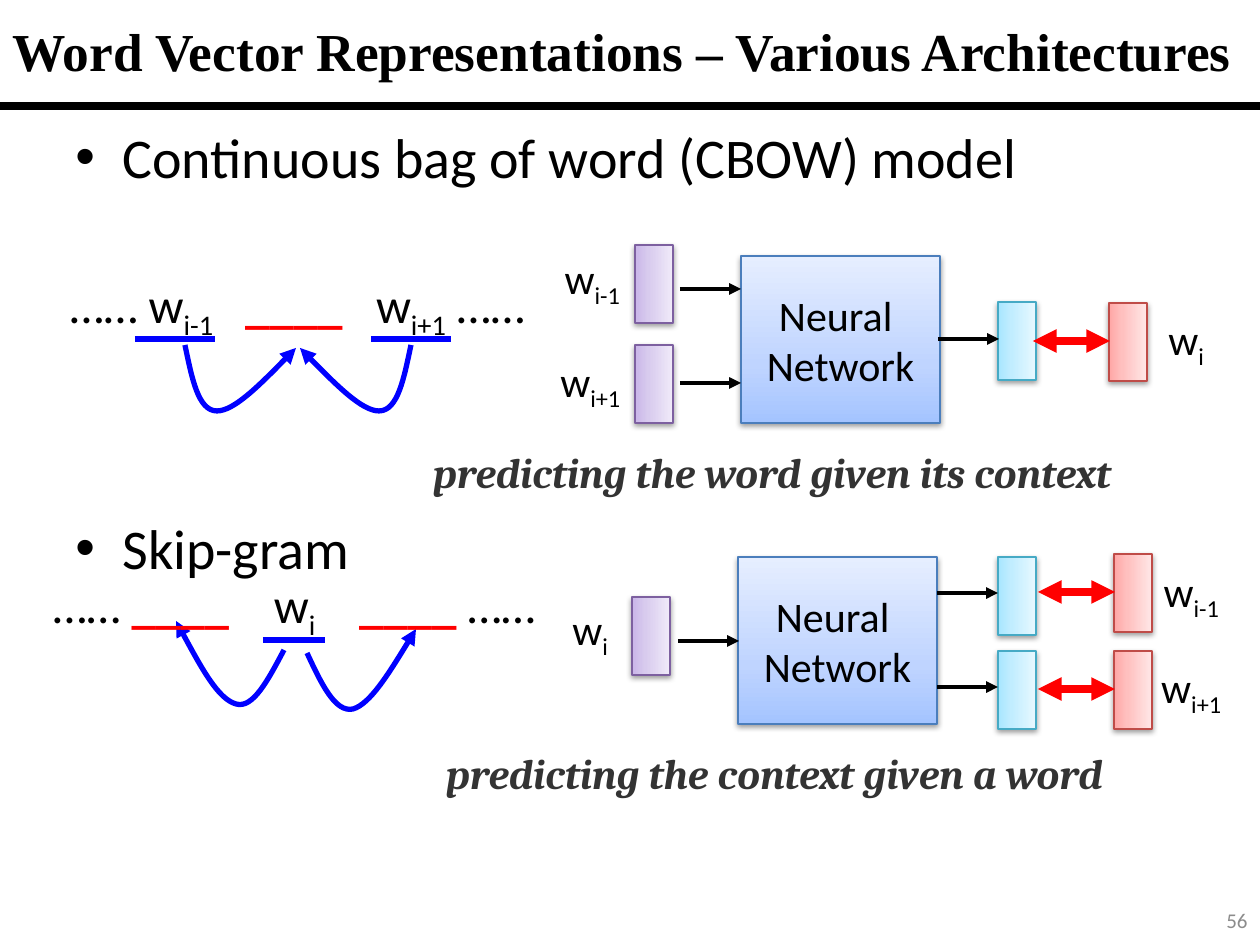
from copy import deepcopy

from lxml import etree
from pptx import Presentation
from pptx import util as u
from pptx.dml.color import RGBColor
from pptx.enum import shapes, text
from pptx.oxml.ns import qn

PX = 914400 / 126
COLORS = {"black": "000000", "blue": "0000FF", "red": "FF0000",
          "caption": "333333", "number": "8C8C8C"}
FILLS = {
    "network": ("A4C4FF", "BFD4FF", "E6EEFF", "4B7EBC"),
    "input": ("C9B5E8", "D8CBEE", "F0EAF9", "7D60A0"),
    "output": ("A7E6FF", "C1EDFF", "E7F8FF", "46AAC5"),
    "target": ("FFA6A5", "FFC0BF", "FFE7E7", "BF4C48"),
}
LEFT, CENTER, RIGHT = text.PP_ALIGN.LEFT, text.PP_ALIGN.CENTER, text.PP_ALIGN.RIGHT


def add_run(paragraph, words, size, color="black", font="Calibri", bold=False, sub=False):
    run = paragraph.add_run()
    run.text = words
    run.font.size = u.Pt(size)
    run.font.name = font
    run.font.bold = bold
    run.font.color.rgb = RGBColor.from_string(COLORS[color])
    if sub:
        run._r.get_or_add_rPr().set("baseline", "-25000")
    return run


def style_line(shape, color, width, ends=()):
    shape.line.color.rgb = RGBColor.from_string(COLORS[color])
    shape.line.width = u.Pt(width)
    properties = shape._element.spPr
    for end in ends:
        etree.SubElement(properties.find(qn("a:ln")), qn(f"a:{end}"), type="triangle")
    etree.SubElement(properties, qn("a:effectLst"))


presentation = Presentation()
presentation.slide_width = u.Inches(10)
presentation.slide_height = u.Inches(7.5)
slide = presentation.slides.add_slide(presentation.slide_layouts[5])

title = slide.shapes.title
title.left, title.top, title.width, title.height = (round(v * PX) for v in (0, 0, 1260, 100))
title.text_frame.vertical_anchor = text.MSO_ANCHOR.MIDDLE
title.text_frame.auto_size = text.MSO_AUTO_SIZE.NONE
title.text_frame.paragraphs[0].alignment = LEFT
add_run(title.text_frame.paragraphs[0], "Word Vector Representations – Various Architectures",
        30.5, font="Times New Roman", bold=True)

blocks = [(741, 256, 199, 167, 0, "network"), (738, 557, 199, 167, 0, "network")]
vectors = {
    "input": [(654, 284), (654, 384), (651, 636)],
    "output": [(1017, 341), (1017, 596), (1017, 690)],
    "target": [(1128, 342), (1133, 593), (1133, 690)],
}
for kind, centers in vectors.items():
    blocks += [(x - 39, y - 19, 78, 38, 90, kind) for x, y in centers]

for left, top, width, height, rotation, kind in blocks:
    shape = slide.shapes.add_shape(shapes.MSO_SHAPE.RECTANGLE,
                                   *(round(v * PX) for v in (left, top, width, height)))
    shape.rotation = rotation
    shape.fill.gradient()
    shape.fill.gradient_angle = 90
    stops = shape._element.spPr.find(".//" + qn("a:gsLst"))
    stops.insert(1, deepcopy(stops[0]))
    *shades, outline = FILLS[kind]
    for stop, position, shade in zip(shape.fill.gradient_stops, (0, 0.35, 1), shades):
        stop.position = position
        stop.color.rgb = RGBColor.from_string(shade)
    shape.line.color.rgb = RGBColor.from_string(outline)
    shape.line.width = u.Pt(0.75)
    shape.shadow.inherit = False
    shadow = etree.SubElement(shape._element.spPr.find(qn("a:effectLst")), qn("a:outerShdw"),
                              blurRad="40000", dist="20000", dir="5400000", rotWithShape="0")
    shade = etree.SubElement(shadow, qn("a:srgbClr"), val=COLORS["black"])
    etree.SubElement(shade, qn("a:alpha"), val="38000")
    if kind == "network":
        frame = shape.text_frame
        frame.vertical_anchor = text.MSO_ANCHOR.MIDDLE
        for paragraph, word in ((frame.paragraphs[0], "Neural "), (frame.add_paragraph(), "Network")):
            paragraph.alignment = CENTER
            add_run(paragraph, word, 24)

lines = [(0, 106, 1260, 106, "black", 4.5, ())]
lines += [(x1, y, x2, y, "blue", 3, ()) for x1, x2, y in
          ((135, 215, 339), (371, 451, 339), (263, 325, 640))]
lines += [(x1, y, x2, y, "black", 2.25, ["tailEnd"]) for x1, x2, y in
          ((680, 741, 289), (680, 741, 383), (938, 999, 339),
           (678, 739, 641), (937, 998, 593), (937, 998, 687))]
lines += [(x, y, x + 77, y, "red", 4.5, ["headEnd", "tailEnd"]) for x, y in
          ((1033, 341), (1038, 592), (1038, 689))]
for *ends, color, width, arrows in lines:
    connector = slide.shapes.add_connector(shapes.MSO_CONNECTOR.STRAIGHT,
                                           *(round(v * PX) for v in ends))
    style_line(connector, color, width, arrows)

context_curve = [(185, 345), (192, 378), (198, 411), (217, 411), (234, 411), (266, 379), (296, 348)]
curves = [
    context_curve,
    [(596 - x, y) for x, y in context_curve],
    [(284, 650), (268, 680), (253, 709), (236, 704), (218, 699), (197, 660), (176, 621)],
    [(307, 653), (321, 683), (335, 713), (353, 709), (370, 704), (393, 667), (416, 629)],
]
for start, *controls in curves:
    builder = slide.shapes.build_freeform(*start, scale=PX)
    builder.add_line_segments(controls, close=False)
    curve = builder.convert_to_shape()
    curve.fill.background()
    outline = curve._element.spPr.find(".//" + qn("a:path"))
    segments = outline.findall(qn("a:lnTo"))
    for first in range(0, len(segments), 3):
        bezier = etree.SubElement(outline, qn("a:cubicBezTo"))
        for segment in segments[first:first + 3]:
            bezier.append(segment[0])
            outline.remove(segment)
    style_line(curve, "blue", 3, ["tailEnd"])

sub = {"sub": True}
blank = {"color": "red", "bold": True}
caption = {"color": "caption", "font": "Cambria", "bold": True}
texts = [
    (3, 268, 588, 72, LEFT, 28, 67, (175, 306),
     [("…… w", {}), ("i-1", sub), ("\t", {}), ("____", blank), ("\tw", {}), ("i+1", sub), (" ……", {})]),
    (0, 568, 588, 72, LEFT, 28, 53, (221, 306),
     [("…… ", {}), ("____", blank), ("\tw", {}), ("i", sub), ("\t", {}), ("____", blank), (" ……", {})]),
    (420, 440, 837, 63, LEFT, 24, 13, (), [("predicting the word given its context", caption)]),
    (433, 741, 810, 63, LEFT, 24, 13, (), [("predicting the context given a word", caption)]),
    (977, 895, 283, 50, RIGHT, 12, 13, (), [("56", {"color": "number"})]),
]
texts += [(x, y, 98, 63, CENTER, 24, 13, (), [("w", {}), (index, sub)]) for x, y, index in
          ((1137, 307, "i"), (543, 246, "i-1"), (541, 349, "i+1"),
           (1142, 559, "i-1"), (541, 597, "i"), (1142, 655, "i+1"))]
for left, top, width, height, alignment, size, margin, tabs, runs in texts:
    frame = slide.shapes.add_textbox(*(round(v * PX) for v in (left, top, width, height))).text_frame
    frame.word_wrap = True
    frame.margin_left = round(margin * PX)
    if size == 12:
        frame.vertical_anchor = text.MSO_ANCHOR.MIDDLE
    paragraph = frame.paragraphs[0]
    paragraph.alignment = alignment
    if tabs:
        tab_list = etree.SubElement(paragraph._p.get_or_add_pPr(), qn("a:tabLst"))
        for tab in tabs:
            etree.SubElement(tab_list, qn("a:tab"), pos=str(round(tab * PX)), algn="l")
    for words, style in runs:
        run = add_run(paragraph, words, size, **style)
        run.font.italic = style is caption

body = slide.shapes.add_textbox(*(round(v * PX) for v in (63, 116, 1134, 624))).text_frame
body.word_wrap = True
for paragraph, model, gap in ((body.paragraphs[0], "Continuous bag of word (CBOW) model", 0),
                              (body.add_paragraph(), "Skip-gram", 185)):
    paragraph.space_before = u.Pt(gap)
    properties = paragraph._p.get_or_add_pPr()
    properties.set("marL", str(round(47 * PX)))
    properties.set("indent", str(round(-47 * PX)))
    etree.SubElement(properties, qn("a:buFont"), typeface="Arial")
    etree.SubElement(properties, qn("a:buChar"), char="•")
    add_run(paragraph, model, 32)

presentation.save("out.pptx")
